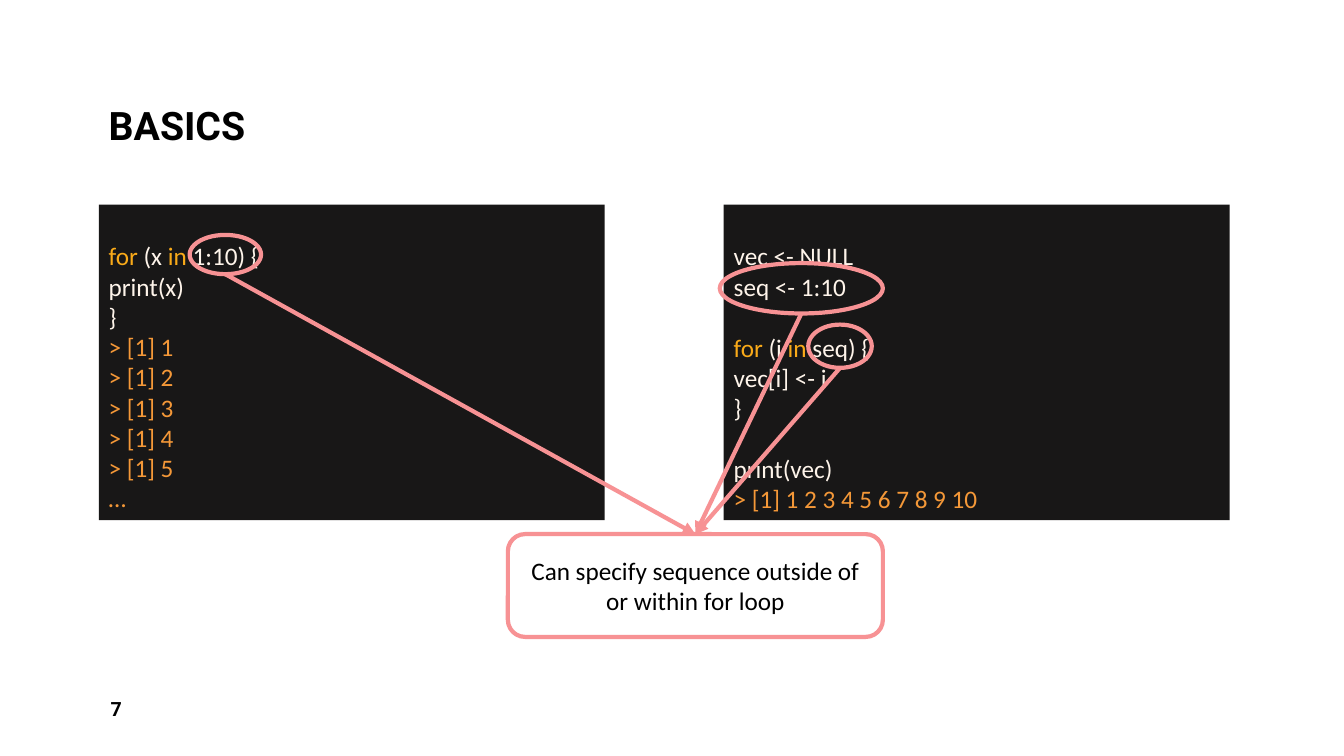
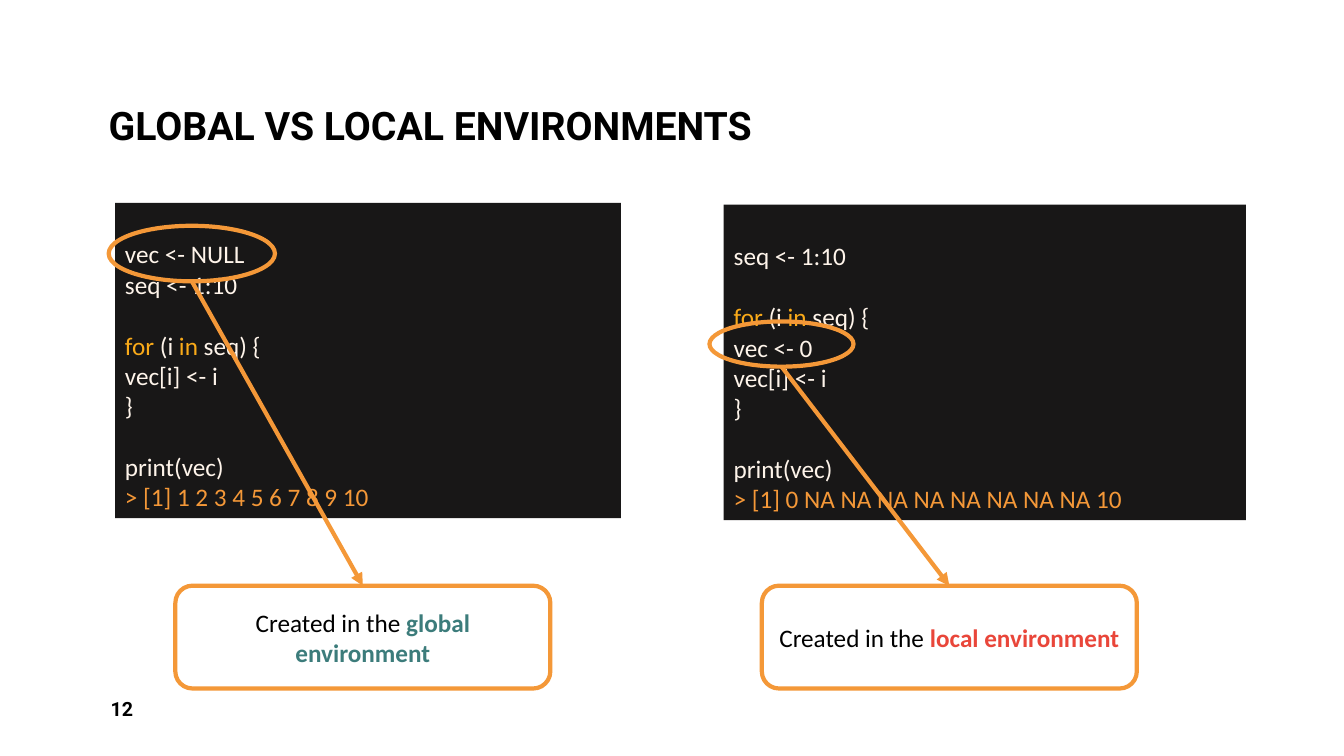
from itertools import groupby

from lxml import etree
from pptx import Presentation
from pptx.dml.color import RGBColor
from pptx.enum.shapes import MSO_CONNECTOR, MSO_SHAPE
from pptx.enum.text import MSO_ANCHOR, PP_ALIGN
from pptx.oxml.ns import qn
from pptx.util import Cm, Pt

BLACK = RGBColor(0x00, 0x00, 0x00)
CODE_BACK = RGBColor(0x18, 0x17, 0x17)
CODE_TEXT = RGBColor(0xFE, 0xF4, 0xEA)
KEYWORD = RGBColor(0xF9, 0xAA, 0x19)
ORANGE = RGBColor(0xF4, 0x98, 0x38)
PINK = RGBColor(0xF7, 0x92, 0x94)
TEAL = RGBColor(0x3C, 0x7C, 0x7B)
RED = RGBColor(0xE9, 0x46, 0x3A)

TITLE_FONT = {"name": "Roboto", "size": Pt(28), "bold": True}
NUMBER_FONT = {"name": "Roboto", "size": Pt(14), "bold": True}
BODY_FONT = {"name": "Calibri", "size": Pt(18)}
CODE_LINE = Pt(22)
OUTLINE = Pt(3)
KEYWORDS = ("for", "in")
OUTPUT_MARKS = (">", "…")

# Boxes are (left, top, width, height) in centimetres.
TITLE_BOX = (2.49, 0.2, 28.91, 3.68)
NUMBER_BOX = (2.54, 17.35, 7.42, 1.02)
CODE_HEIGHT = 7.95
CALLOUT_SIZE = (9.45, 2.59)

PRINT_LOOP = """\
for (x in 1:10) {
print(x)
}
> [1] 1
> [1] 2
> [1] 3
> [1] 4
> [1] 5
…"""

FILL_LOOP = """\
vec <- NULL
seq <- 1:10

for (i in seq) {
vec[i] <- i
}

print(vec)
> [1] 1 2 3 4 5 6 7 8 9 10"""

RESET_LOOP = """\
seq <- 1:10

for (i in seq) {
vec <- 0
vec[i] <- i
}

print(vec)
> [1] 0 NA NA NA NA NA NA NA NA 10"""

SLIDES = [
    {
        "title": "BASICS",
        "number": "7",
        "accent": PINK,
        "code": [  # left, top, width, text
            (2.49, 5.16, 12.75, PRINT_LOOP),
            (18.24, 5.16, 12.75, FILL_LOOP),
        ],
        "callouts": [
            {
                "at": (12.8, 13.46),
                "text": [("Can specify sequence outside of or within for loop", BLACK, False)],
                "circled": [
                    (4.78, 5.92, 1.8, 0.99),
                    (18.14, 6.63, 4.11, 1.27),
                    (20.37, 8.18, 1.6, 1.09),
                ],
            },
        ],
    },
    {
        "title": "GLOBAL VS LOCAL ENVIRONMENTS",
        "number": "12",
        "accent": ORANGE,
        "code": [
            (2.9, 5.11, 12.75, FILL_LOOP),
            (18.24, 5.16, 13.16, RESET_LOOP),
        ],
        "callouts": [
            {
                "at": (4.42, 14.76),
                "text": [("Created in the ", BLACK, False), ("global environment", TEAL, True)],
                "circled": [(2.74, 5.69, 4.19, 1.4)],
            },
            {
                "at": (19.2, 14.76),
                "text": [("Created in the ", BLACK, False), ("local environment", RED, True)],
                "circled": [(17.88, 8.1, 3.63, 1.14)],
            },
        ],
    },
]


def add_run(paragraph, text, font, color):
    run = paragraph.add_run()
    run.text = text
    for name, value in font.items():
        setattr(run.font, name, value)
    run.font.color.rgb = color


def add_label(slide, box, text, font, anchor):
    frame = slide.shapes.add_textbox(*map(Cm, box)).text_frame
    frame.word_wrap = True
    frame.vertical_anchor = anchor
    paragraph = frame.paragraphs[0]
    add_run(paragraph, text, font, BLACK)
    return paragraph


def add_shape(slide, kind, box, fill=None, line=None):
    shape = slide.shapes.add_shape(kind, *map(Cm, box))
    shape.shadow.inherit = False
    if fill is None:
        shape.fill.background()
    else:
        shape.fill.solid()
        shape.fill.fore_color.rgb = fill
    if line is None:
        shape.line.fill.background()
    else:
        shape.line.color.rgb = line
        shape.line.width = OUTLINE
    return shape


def add_code_line(paragraph, line):
    """Write one line of code, with keywords and printed output coloured."""
    if line.startswith(OUTPUT_MARKS):
        add_run(paragraph, line, BODY_FONT, ORANGE)
        return
    space = ""
    for is_keyword, words in groupby(line.split(" "), lambda word: word in KEYWORDS):
        color = KEYWORD if is_keyword else CODE_TEXT
        add_run(paragraph, space + " ".join(words), BODY_FONT, color)
        space = " "


def add_code(slide, left, top, width, code):
    """Draw a code panel; a blank line becomes space before the next line."""
    panel = add_shape(slide, MSO_SHAPE.RECTANGLE, (left, top, width, CODE_HEIGHT), CODE_BACK)
    frame = panel.text_frame
    frame.word_wrap = True
    frame.vertical_anchor = MSO_ANCHOR.TOP
    frame.margin_top = Cm(0.13) + CODE_LINE
    paragraph = frame.paragraphs[0]
    for block_index, block in enumerate(code.split("\n\n")):
        for line_index, line in enumerate(block.split("\n")):
            if block_index or line_index:
                paragraph = frame.add_paragraph()
            if block_index and not line_index:
                paragraph.space_before = CODE_LINE
            paragraph.alignment = PP_ALIGN.LEFT
            add_code_line(paragraph, line)


def add_arrow(slide, ellipse, callout, color):
    """Point from the bottom of an ellipse to the top of a callout."""
    start_x = ellipse.left + ellipse.width // 2
    start_y = ellipse.top + ellipse.height
    arrow = slide.shapes.add_connector(
        MSO_CONNECTOR.STRAIGHT, start_x, start_y, callout.left, callout.top)
    arrow.end_connect(callout, 0)
    arrow.line.color.rgb = color
    arrow.line.width = OUTLINE
    etree.SubElement(arrow.line._get_or_add_ln(), qn("a:tailEnd"), type="triangle")
    etree.SubElement(arrow._element.spPr, qn("a:effectLst"))


def add_callout(slide, callout, accent):
    box = add_shape(slide, MSO_SHAPE.ROUNDED_RECTANGLE, callout["at"] + CALLOUT_SIZE, line=accent)
    frame = box.text_frame
    frame.word_wrap = True
    frame.vertical_anchor = MSO_ANCHOR.MIDDLE
    paragraph = frame.paragraphs[0]
    paragraph.alignment = PP_ALIGN.CENTER
    for text, color, bold in callout["text"]:
        add_run(paragraph, text, {**BODY_FONT, "bold": bold}, color)
    for circled in callout["circled"]:
        ellipse = add_shape(slide, MSO_SHAPE.OVAL, circled, line=accent)
        add_arrow(slide, ellipse, box, accent)


def add_slide(presentation, content):
    slide = presentation.slides.add_slide(presentation.slide_layouts[6])
    title = add_label(slide, TITLE_BOX, content["title"], TITLE_FONT, MSO_ANCHOR.BOTTOM)
    title.line_spacing = 0.9
    add_label(slide, NUMBER_BOX, content["number"], NUMBER_FONT, MSO_ANCHOR.MIDDLE)
    for panel in content["code"]:
        add_code(slide, *panel)
    for callout in content["callouts"]:
        add_callout(slide, callout, content["accent"])


def main():
    presentation = Presentation()
    presentation.slide_width = Cm(33.87)
    presentation.slide_height = Cm(19.05)
    for content in SLIDES:
        add_slide(presentation, content)
    presentation.save("out.pptx")


if __name__ == "__main__":
    main()
